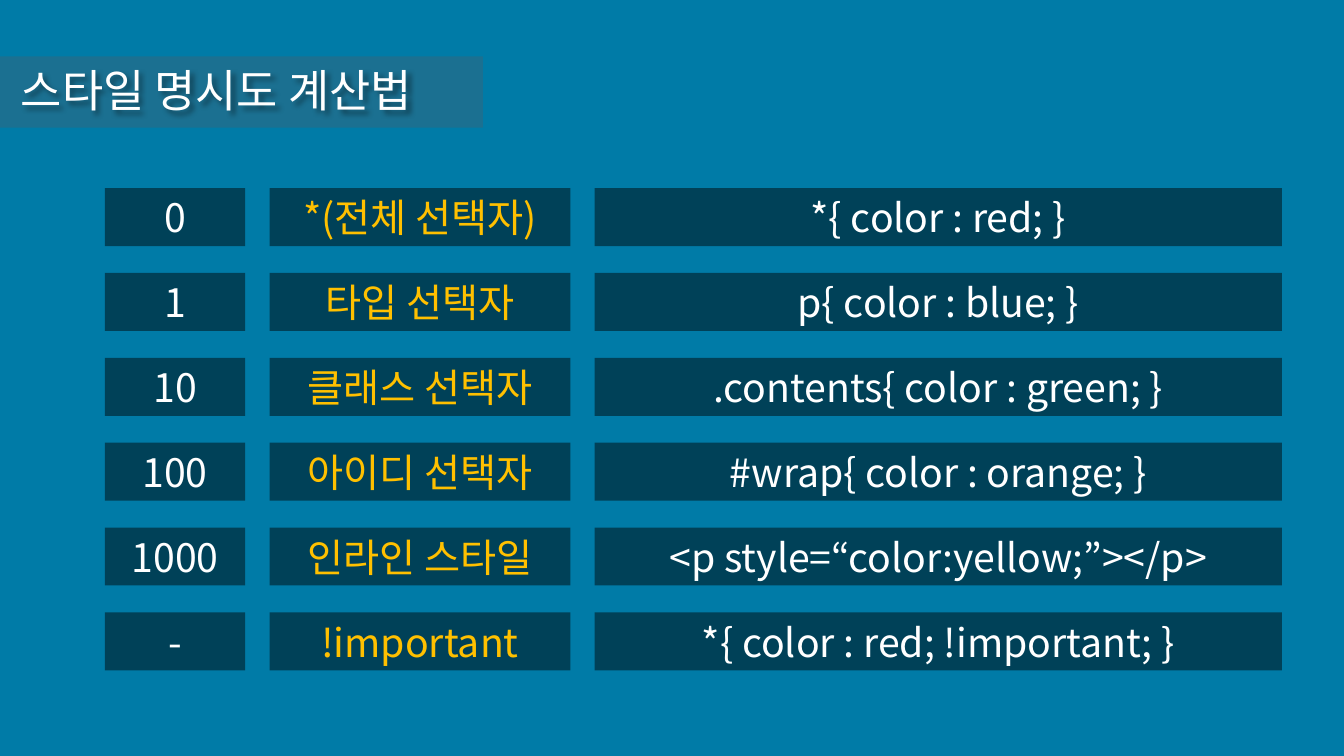
from lxml.etree import SubElement
from pptx import Presentation
from pptx.dml.color import RGBColor
from pptx.enum.shapes import MSO_SHAPE
from pptx.enum.text import MSO_ANCHOR, PP_ALIGN
from pptx.oxml.ns import qn
from pptx.util import Inches, Pt

BACKGROUND = RGBColor(0x00, 0x7B, 0xA7)
BAND = RGBColor(0x61, 0x57, 0x58)
BLACK = RGBColor(0x00, 0x00, 0x00)
WHITE = RGBColor(0xFF, 0xFF, 0xFF)
GOLD = RGBColor(0xFF, 0xC0, 0x00)

# Specificity score, selector kind, example
RULES = [
    ("0", "*(전체 선택자)", "*{ color : red; }"),
    ("1", "타입 선택자", "p{ color : blue; }"),
    ("10", "클래스 선택자", ".contents{ color : green; }"),
    ("100", "아이디 선택자", "#wrap{ color : orange; }"),
    ("1000", "인라인 스타일", "<p style=“color:yellow;”></p>"),
    ("-", "!important", "*{ color : red; !important; }"),
]
# Width in grid columns and text colour of each part of a rule
PARTS = [(1.67, WHITE), (3.58, GOLD), (8.18, WHITE)]
LEFT, TOP = 1.25, 2.24
GAP, PITCH, HEIGHT = 0.29, 1.01, 0.69


class SpecificitySlide:
    """Places elements on a grid of 16 columns by 9 rows."""

    font_name = "Noto Sans CJK KR"

    def __init__(self, presentation):
        self.column = presentation.slide_width / 16
        self.row = presentation.slide_height / 9
        self.slide = presentation.slides.add_slide(presentation.slide_layouts[6])
        self.slide.background.fill.solid()
        self.slide.background.fill.fore_color.rgb = BACKGROUND

    def place(self, left, top, width, height):
        return (round(left * self.column), round(top * self.row),
                round(width * self.column), round(height * self.row))

    def set_text(self, shape, text, size, color, align):
        frame = shape.text_frame
        frame.word_wrap = True
        frame.vertical_anchor = MSO_ANCHOR.MIDDLE
        paragraph = frame.paragraphs[0]
        paragraph.text = text
        paragraph.alignment = align
        paragraph.font.size = Pt(size)
        paragraph.font.color.rgb = color
        paragraph.font.name = self.font_name
        properties = paragraph._p.find(".//" + qn("a:defRPr"))
        SubElement(properties, qn("a:ea"), typeface=self.font_name)

    def panel(self, box, color, opacity):
        panel = self.slide.shapes.add_shape(MSO_SHAPE.RECTANGLE, *self.place(*box))
        panel.shadow.inherit = False
        panel.line.fill.background()
        panel.fill.solid()
        panel.fill.fore_color.rgb = color
        tint = panel._element.spPr.find(".//" + qn("a:srgbClr"))
        SubElement(tint, qn("a:alpha"), val=str(opacity * 1000))
        return panel

    def cell(self, box, text, color):
        self.set_text(self.panel(box, BLACK, 47), text, 28, color, PP_ALIGN.CENTER)

    def title(self, box, text):
        title = self.slide.shapes.add_textbox(*self.place(*box))
        self.set_text(title, text, 32, WHITE, PP_ALIGN.LEFT)
        # Soft shadow behind the letters
        effects = SubElement(title._element.spPr, qn("a:effectLst"))
        shadow = SubElement(effects, qn("a:outerShdw"), blurRad="50800",
                            dist="38100", dir="2700000", algn="tl")
        tint = SubElement(shadow, qn("a:srgbClr"), val=str(BLACK))
        SubElement(tint, qn("a:alpha"), val="40000")


def main():
    presentation = Presentation()
    presentation.slide_width = Inches(13.33)
    presentation.slide_height = Inches(7.5)
    slide = SpecificitySlide(presentation)

    # Heading on its band
    slide.panel((-1.19, 0.67, 6.94, 0.85), BAND, 28)
    slide.title((0.13, 0.68, 6.77, 0.77), "스타일 명시도 계산법")

    # One row of cells per rule
    for index, rule in enumerate(RULES):
        left = LEFT
        for text, (width, color) in zip(rule, PARTS):
            slide.cell((left, TOP + index * PITCH, width, HEIGHT), text, color)
            left += width + GAP

    presentation.save("out.pptx")


if __name__ == "__main__":
    main()
